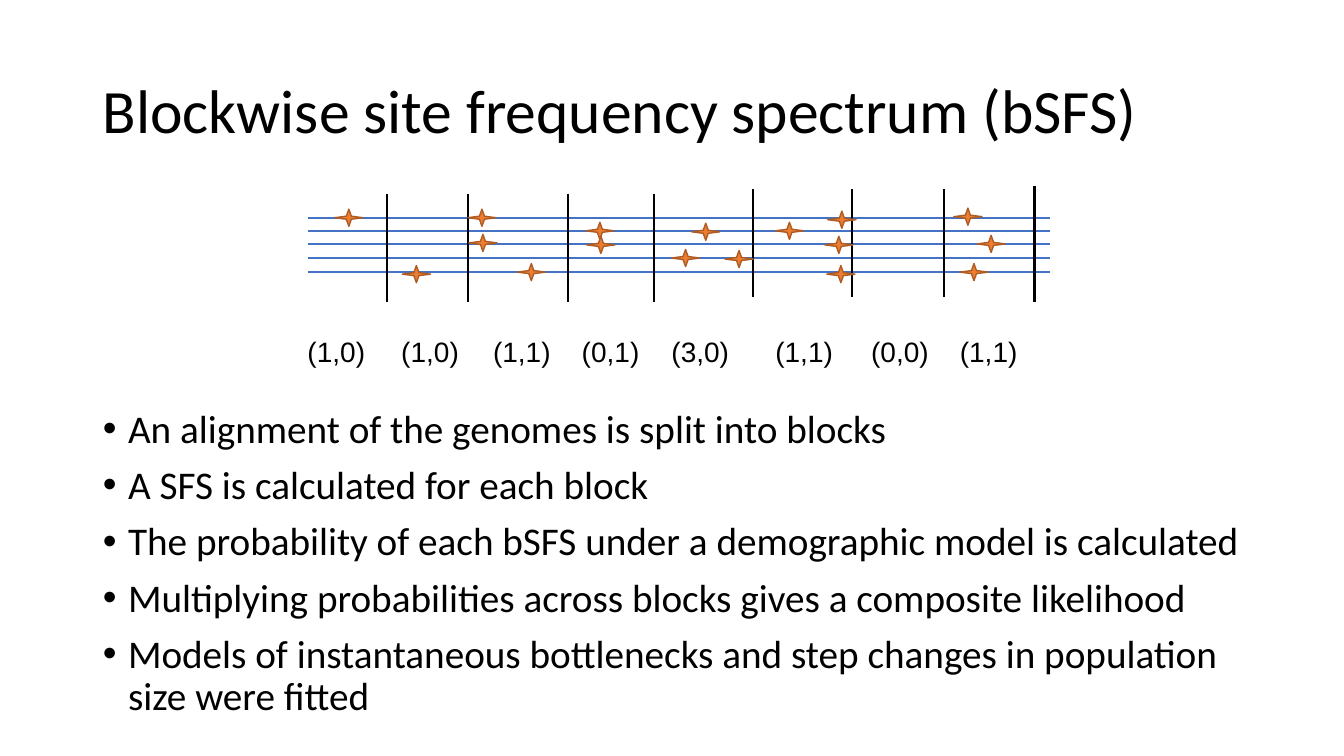
from dataclasses import dataclass

from lxml.etree import SubElement
from pptx import Presentation
from pptx.dml.color import RGBColor
from pptx.enum.shapes import MSO_CONNECTOR, MSO_SHAPE
from pptx.enum.text import MSO_ANCHOR, MSO_AUTO_SIZE, PP_ALIGN
from pptx.oxml.ns import qn
from pptx.util import Inches, Pt

# Content
TITLE = "Blockwise site frequency spectrum (bSFS)"
POINTS = [
    "An alignment of the genomes is split into blocks",
    "A SFS is calculated for each block",
    "The probability of each bSFS under a demographic model is calculated",
    "Multiplying probabilities across blocks gives a composite likelihood",
    "Models of instantaneous bottlenecks and step changes in population size were fitted",
]
# Each genome: height, then its mutations as (centre, nudge off the line)
GENOMES = [
    (2.16, [(3.46, 0), (4.78, 0), (8.35, 0.02), (9.6, -0.01)]),
    (2.29, [(5.95, 0), (7.0, 0.01), (7.83, 0)]),
    (2.42, [(4.79, -0.01), (5.96, 0.01), (8.32, 0.01), (9.83, 0)]),
    (2.56, [(6.8, 0), (7.33, 0.01)]),
    (2.7, [(4.13, 0.02), (5.27, 0), (8.34, 0.02), (9.66, 0)]),
]
# Block borders that share a top and bottom
BORDERS = [
    (1.92, 3.0, [3.84, 4.64, 5.63, 6.49]),
    (1.88, 2.95, [7.47, 8.45, 9.36]),
    (1.85, 3.0, [10.26]),
]
# Frequency spectrum of each block, with its left edge
SPECTRA = [
    ("(1,0)", 3.05), ("(1,0)", 3.98), ("(1,1)", 4.89), ("(0,1)", 5.77),
    ("(3,0)", 6.66), ("(1,1)", 7.69), ("(0,0)", 8.64), ("(1,1)", 9.52),
]

# Layout in inches
WIDTH, HEIGHT = 13.33, 7.5
MARGIN = 0.92
ALIGNMENT_LEFT, ALIGNMENT_RIGHT = 3.05, 10.41
STAR_WIDTH, STAR_HEIGHT = 0.28, 0.17


@dataclass(frozen=True)
class Theme:
    ink: RGBColor = RGBColor(0, 0, 0)
    genome: RGBColor = RGBColor(0x44, 0x72, 0xC4)
    star: RGBColor = RGBColor(0xED, 0x7D, 0x31)
    star_edge: RGBColor = RGBColor(0xAF, 0x5C, 0x24)
    text_font: str = "Calibri"
    label_font: str = "Arial"
    title_size: int = 44
    body_size: int = 28
    label_size: int = 20
    line_width: float = 1.5
    edge_width: float = 1


THEME = Theme()


def place(part, left, top, width, height):
    part.left, part.top = Inches(left), Inches(top)
    part.width, part.height = Inches(width), Inches(height)


def style(paragraph, font, size):
    paragraph.font.name = font
    paragraph.font.size = Pt(size)
    paragraph.font.color.rgb = THEME.ink
    paragraph.alignment = PP_ALIGN.LEFT


def add_line(shapes, x1, y1, x2, y2, color):
    line = shapes.add_connector(
        MSO_CONNECTOR.STRAIGHT, Inches(x1), Inches(y1), Inches(x2), Inches(y2))
    line.line.color.rgb = color
    line.line.width = Pt(THEME.line_width)
    SubElement(line._element.spPr, qn("a:effectLst"))


def add_mutation(shapes, x, y):
    star = shapes.add_shape(
        MSO_SHAPE.STAR_4_POINT, Inches(x - STAR_WIDTH / 2), Inches(y - STAR_HEIGHT / 2),
        Inches(STAR_WIDTH), Inches(STAR_HEIGHT))
    star.shadow.inherit = False
    star.fill.solid()
    star.fill.fore_color.rgb = THEME.star
    star.line.color.rgb = THEME.star_edge
    star.line.width = Pt(THEME.edge_width)


def add_title(slide):
    title = slide.shapes.title
    place(title, MARGIN, 0.4, WIDTH - 2 * MARGIN, 1.45)
    title.text_frame.text = TITLE
    title.text_frame.auto_size = MSO_AUTO_SIZE.NONE
    title.text_frame.vertical_anchor = MSO_ANCHOR.MIDDLE
    heading = title.text_frame.paragraphs[0]
    style(heading, THEME.text_font, THEME.title_size)
    heading.line_spacing = 0.9


def add_points(slide):
    body = slide.placeholders[1]
    place(body, MARGIN, 4.01, WIDTH - 2 * MARGIN, 3.19)
    body.text_frame.text = "\n".join(POINTS)
    body.text_frame.auto_size = MSO_AUTO_SIZE.NONE
    for point in body.text_frame.paragraphs:
        style(point, THEME.text_font, THEME.body_size)
        point.line_spacing = 0.9
        point.space_before = Pt(10)
        properties = point._p.get_or_add_pPr()
        properties.set("marL", str(Inches(0.25)))
        properties.set("indent", str(Inches(-0.25)))


def add_spectra(slide):
    labels = slide.shapes.add_textbox(
        Inches(ALIGNMENT_LEFT), Inches(3.32),
        Inches(ALIGNMENT_RIGHT - ALIGNMENT_LEFT), Inches(0.44))
    frame = labels.text_frame
    frame.word_wrap = True
    frame.margin_left = frame.margin_right = frame.margin_top = frame.margin_bottom = 0
    row = frame.paragraphs[0]
    row.add_run().text = "\t".join(label for label, _ in SPECTRA)
    # One tab stop per block after the first
    tabs = SubElement(row._p.get_or_add_pPr(), qn("a:tabLst"))
    for _, left in SPECTRA[1:]:
        SubElement(tabs, qn("a:tab"), pos=str(Inches(left - ALIGNMENT_LEFT)), algn="l")
    style(row, THEME.label_font, THEME.label_size)


def add_alignment(slide):
    for y, _ in GENOMES:
        add_line(slide.shapes, ALIGNMENT_LEFT, y, ALIGNMENT_RIGHT, y, THEME.genome)
    borders = slide.shapes.add_group_shape()
    for top, bottom, places in BORDERS:
        for x in places:
            add_line(borders.shapes, x, top, x, bottom, THEME.ink)
    for y, mutations in GENOMES:
        for x, nudge in mutations:
            add_mutation(slide.shapes, x, y + nudge)


def main():
    deck = Presentation()
    deck.slide_width, deck.slide_height = Inches(WIDTH), Inches(HEIGHT)
    slide = deck.slides.add_slide(deck.slide_layouts[1])
    add_title(slide)
    add_points(slide)
    add_spectra(slide)
    add_alignment(slide)
    deck.save("out.pptx")


if __name__ == "__main__":
    main()
